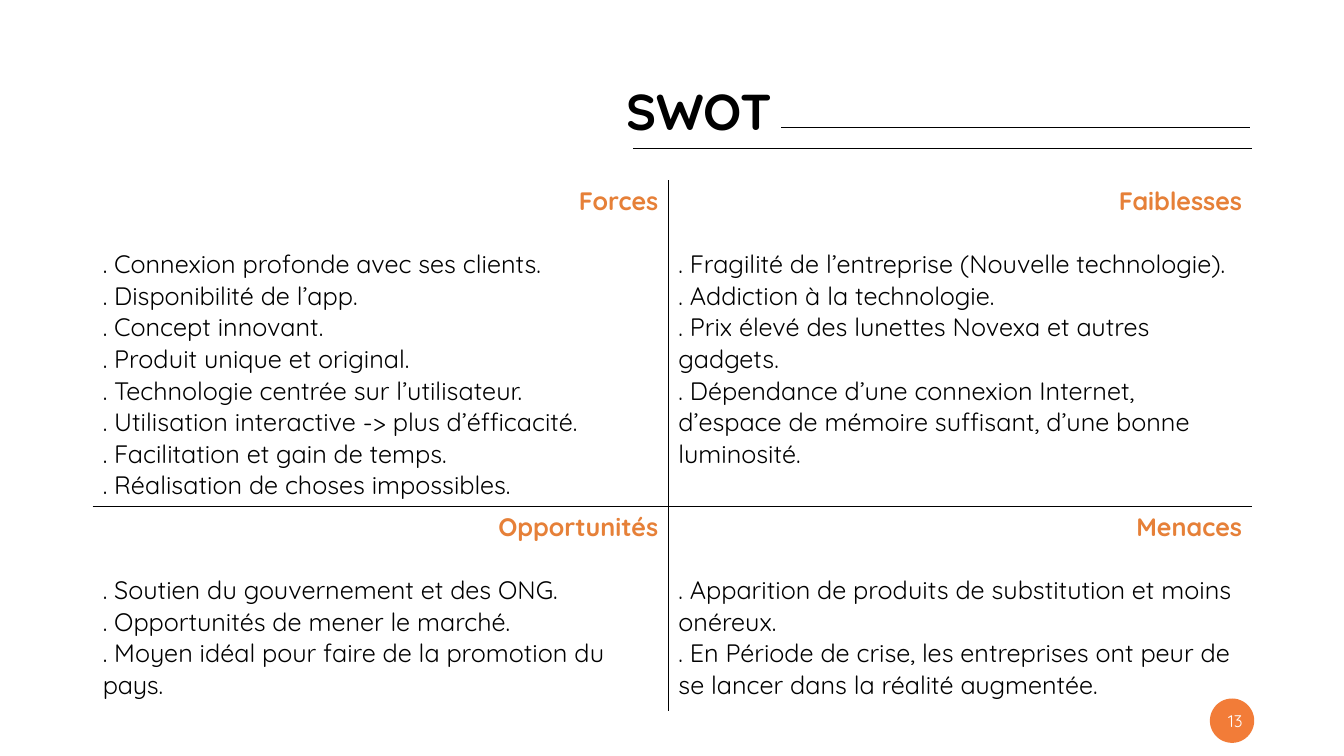
from dataclasses import dataclass

from lxml import etree
from pptx import Presentation
from pptx.dml.color import RGBColor
from pptx.enum.shapes import MSO_CONNECTOR as Connector, MSO_SHAPE as Shape
from pptx.enum.text import MSO_ANCHOR as Anchor, PP_ALIGN as Align
from pptx.oxml.ns import qn
from pptx.util import Inches, Pt


@dataclass(frozen=True)
class Theme:
    font: str = "Quicksand"
    ink: RGBColor = RGBColor(0, 0, 0)
    heading: RGBColor = RGBColor(0xE6, 0x80, 0x38)
    badge: RGBColor = RGBColor(0xF2, 0x7C, 0x38)
    badge_ink: RGBColor = RGBColor(0xFF, 0xFF, 0xFF)
    title_size: float = 36
    body_size: float = 18
    number_size: float = 12
    heading_gap: float = 22.5
    rule: float = 0.5
    border: float = 1


THEME = Theme()


@dataclass(frozen=True)
class Box:
    left: float
    top: float
    width: float
    height: float

    def inner(self, left, top, width, height):
        """Inner box, given in percent of this one."""
        return Box(self.left + self.width * left / 100,
                   self.top + self.height * top / 100,
                   self.width * width / 100, self.height * height / 100)

    def emu(self):
        return [Inches(v) for v in (self.left, self.top, self.width, self.height)]


SLIDE = Box(0, 0, 13.33, 7.5)

# Rows of the matrix, each cell as (heading, points)
SWOT = [
    [("Forces", [
        "Connexion profonde avec ses clients.",
        "Disponibilité de l’app.",
        "Concept innovant.",
        "Produit unique et original.",
        "Technologie centrée sur l’utilisateur.",
        "Utilisation interactive -> plus d’éfficacité.",
        "Facilitation et gain de temps.",
        "Réalisation de choses impossibles."]),
     ("Faiblesses", [
        "Fragilité de l’entreprise (Nouvelle technologie).",
        "Addiction à la technologie.",
        "Prix élevé des lunettes Novexa et autres gadgets.",
        "Dépendance d’une connexion Internet, d’espace de mémoire "
        "suffisant, d’une bonne luminosité."])],
    [("Opportunités", [
        "Soutien du gouvernement et des ONG.",
        "Opportunités de mener le marché.",
        "Moyen idéal pour faire de la promotion du pays."]),
     ("Menaces", [
        "Apparition de produits de substitution et moins onéreux.",
        "En Période de crise, les entreprises ont peur de se lancer "
        "dans la réalité augmentée."])],
]


def style(paragraph, size, color, bold=False, align=Align.LEFT):
    paragraph.alignment = align
    font = paragraph.font
    font.name, font.size, font.bold = THEME.font, Pt(size), bold
    font.color.rgb = color


def add_rule(slide, box):
    left, top, width, _ = box.emu()
    rule = slide.shapes.add_connector(Connector.STRAIGHT, left, top, left + width, top)
    rule.line.color.rgb = THEME.ink
    rule.line.width = Pt(THEME.rule)
    etree.SubElement(rule.element.spPr, qn("a:effectLst"))


def add_header(slide, box, text):
    # Title, right-aligned against the upper rule
    title = slide.shapes.title
    title.left, title.top, title.width, title.height = box.inner(0, 0, 45.62, 100).emu()
    frame = title.text_frame
    frame.text = text
    frame.vertical_anchor = Anchor.MIDDLE
    frame.paragraphs[0].line_spacing = 0.9
    style(frame.paragraphs[0], THEME.title_size, THEME.ink, True, Align.RIGHT)

    # Upper and lower rules
    add_rule(slide, box.inner(45.51, 58.62, 54.26, 0))
    add_rule(slide, box.inner(28.35, 73.1, 71.65, 0))


def set_borders(cell, visible):
    properties = cell._tc.get_or_add_tcPr()
    for side in "LRTB":
        line = etree.SubElement(properties, qn(f"a:ln{side}"), w=str(Pt(THEME.border)))
        if side in visible:
            fill = etree.SubElement(line, qn("a:solidFill"))
            etree.SubElement(fill, qn("a:srgbClr"), val=str(THEME.ink))
        else:
            etree.SubElement(line, qn("a:noFill"))


def fill_cell(cell, heading, points):
    frame = cell.text_frame
    frame.text = "\n".join([heading] + [f". {point}" for point in points])
    first, *others = frame.paragraphs
    style(first, THEME.body_size, THEME.heading, True, Align.RIGHT)
    first.space_after = Pt(THEME.heading_gap)
    for paragraph in others:
        style(paragraph, THEME.body_size, THEME.ink)


def add_matrix(slide, box, rows):
    table = slide.shapes.add_table(2, 2, *box.emu()).table
    table.first_row = table.horz_banding = False
    for column, share in zip(table.columns, (49.65, 50.35)):
        column.width = Inches(box.width * share / 100)
    for row, share in zip(table.rows, (61.4, 38.6)):
        row.height = Inches(box.height * share / 100)

    # Only the inner cross is drawn
    for r, row in enumerate(rows):
        for c, (heading, points) in enumerate(row):
            cell = table.cell(r, c)
            set_borders(cell, "RL"[c] + "BT"[r])
            cell.fill.background()
            fill_cell(cell, heading, points)


def add_page_badge(slide, box, number):
    # Disc
    disc = slide.shapes.add_shape(Shape.OVAL, *box.emu())
    disc.shadow.inherit = False
    disc.fill.solid()
    disc.fill.fore_color.rgb = THEME.badge
    disc.line.fill.background()

    # Page number, ending inside the disc
    label = slide.shapes.add_textbox(*box.inner(-586, 5, 682, 90).emu())
    frame = label.text_frame
    frame.word_wrap = True
    frame.vertical_anchor = Anchor.MIDDLE
    frame.text = str(number)
    style(frame.paragraphs[0], THEME.number_size, THEME.badge_ink, align=Align.RIGHT)


def main():
    deck = Presentation()
    deck.slide_width, deck.slide_height = Inches(SLIDE.width), Inches(SLIDE.height)
    slide = deck.slides.add_slide(deck.slide_layouts[5])
    add_header(slide, SLIDE.inner(28.88, 5.47, 64.29, 19.33), "SWOT")
    add_matrix(slide, SLIDE.inner(6.9, 23.87, 86.27, 70.2), SWOT)
    add_page_badge(slide, SLIDE.inner(90.02, 92.4, 3.3, 5.87), 13)
    deck.save("out.pptx")


if __name__ == "__main__":
    main()
